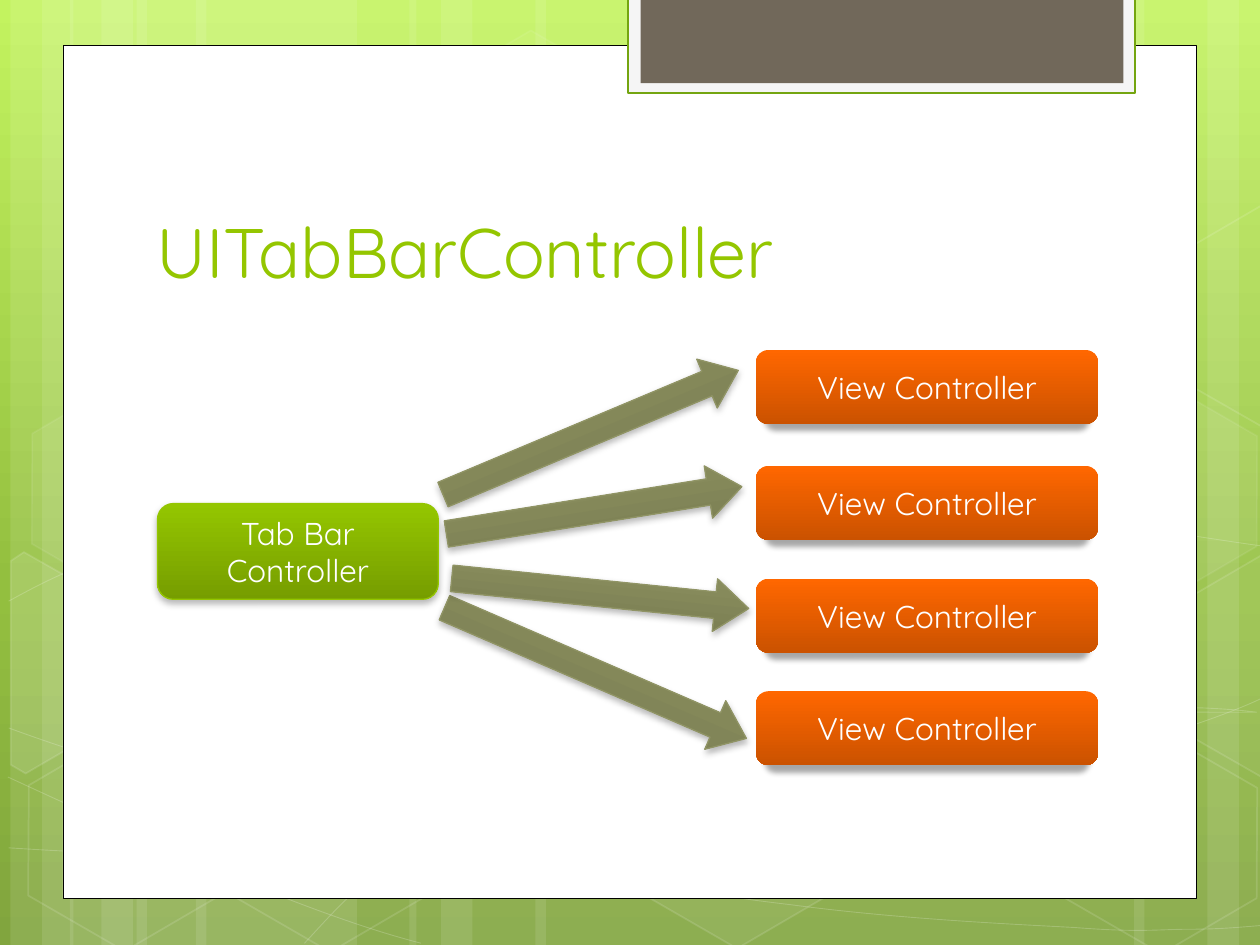
from dataclasses import dataclass
from math import cos, radians, sin

from lxml import etree
from pptx import Presentation
from pptx.dml.color import RGBColor
from pptx.enum.shapes import MSO_SHAPE
from pptx.enum.text import MSO_ANCHOR, PP_ALIGN
from pptx.oxml.ns import qn
from pptx.util import Pt

RECT = MSO_SHAPE.RECTANGLE
ROUND_RECT = MSO_SHAPE.ROUNDED_RECTANGLE
HEXAGON = MSO_SHAPE.HEXAGON
ARROW = MSO_SHAPE.RIGHT_ARROW
LEFT, CENTER = PP_ALIGN.LEFT, PP_ALIGN.CENTER
MIDDLE, BOTTOM = MSO_ANCHOR.MIDDLE, MSO_ANCHOR.BOTTOM


@dataclass(frozen=True)
class Theme:
    font: str = "Quicksand"
    title_size: int = 40
    label_size: int = 18
    white: str = "FFFFFF"
    black: str = "000000"
    green: str = "94C600"
    olive: str = "909465"
    tab_edge: str = "74A510"
    tab_outer: str = "F5F5F5"
    tab_inner: str = "71685A"
    backdrop: tuple = ((0, "C3F35F"), (62, "93BF3F"), (100, "81A53E"))
    green_fill: tuple = ((0, "94C600"), (100, "769D00"))
    orange_fill: tuple = ((0, "FF6700"), (100, "CB5200"))
    olive_fill: tuple = ((0, "909465"), (100, "75794C"))


T = Theme()
SOFT_SHADOW = (28, 4, 2, 100)
DEEP_SHADOW = (34, 3.5, 4, 95)
TILT = 30

STRIPES = [(78, 126), (6, 36), (24, 60), (112, 126), (40, 36), (58, 60),
           (528, 126), (690, 36), (648, 60), (306, 222), (234, 36), (252, 60)]

WAVES = [
    [(5, 484.5), (44, 487), (83, 489), (137, 488), (191, 487), (258, 486),
     (330, 479), (402, 472), (504, 458), (570, 444), (636, 431), (703, 409),
     (725, 397)],
    [(5, 343.5), (26, 332), (47, 321), (87, 310), (128, 300), (186, 284),
     (250, 279), (314, 274), (392, 273), (471, 279), (550, 284), (682, 307),
     (725, 312.5)],
    [(4.5, 444), (91, 484), (178, 523), (240.5, 539)],
    [(5, 416), (27, 424), (50, 432), (92, 443.5), (134, 454), (197, 472),
     (257, 484.5), (317, 497), (392, 510), (452, 517), (512, 525), (576, 528),
     (614, 530), (652, 533), (662, 531), (680, 531), (699, 531), (712, 529.5),
     (725, 528.5)],
    [(174, 539), (187, 525), (200, 510), (217.5, 497.5), (235, 485), (259, 470),
     (279, 460), (299.5, 450), (312, 446), (338, 438.5), (364, 431), (412.5, 421),
     (438, 416), (464, 411), (467, 411), (490, 410), (512, 407.5), (547, 405),
     (572, 404.5), (597, 404), (638, 404.5), (638, 404.5), (654, 404.5),
     (670, 404.5), (686, 404.5), (699, 405), (711, 406), (718, 407), (724, 407.5)],
]

HEXAGONS = [(240.5, 26, 4, 8), (358, 424, 6, 12), (8, 425.5, None, 12),
            (10, 224.5, 7, 8), (125.5, 426, None, 12), (542, 326, 10, 12),
            (600.5, 427, None, 12), (600.5, 226, 7, 8)]

CUT_HEXAGONS = [
    ([(6, 320.5), (13.5, 315.5), (69, 347), (68.5, 410.5), (14.5, 442), (6, 437)],
     (26, 385), 10),
    ([(666.5, 349), (720.5, 317.5), (726.5, 321), (726.5, 441.5), (721.5, 444), (666.5, 412.5)],
     (709, 374.5), 4),
    ([(666.5, 149), (720.5, 117.5), (727, 121), (726.5, 241), (721.5, 244), (666.5, 212.5)],
     (709, 173.5), None),
]

VIEW_TOPS = [200, 266.25, 330.75, 395]

ARROWS = [(246, 232, 183, -22.8), (254, 276.5, 171, -9.1),
          (246.25, 369.5, 188, 23.4), (257.75, 324, 170.5, 5.8)]


def set_alpha(parent, percent):
    color = parent.find(f"{qn('a:solidFill')}/{qn('a:srgbClr')}")
    etree.SubElement(color, qn("a:alpha"), val=str(percent * 1000))


def set_gradient(fill, element, stops):
    fill.gradient()
    fill.gradient_angle = 270
    gs_list = next(element.iter(qn("a:gsLst")))
    for gs in list(gs_list):
        gs_list.remove(gs)
    for pos, color in stops:
        gs = etree.SubElement(gs_list, qn("a:gs"), pos=str(pos * 1000))
        etree.SubElement(gs, qn("a:srgbClr"), val=color)


def set_shadow(sp, alpha, blur, dist, width):
    effects = sp._element.spPr.find(qn("a:effectLst"))
    outer = etree.SubElement(effects, qn("a:outerShdw"), blurRad=str(Pt(blur)),
                             dist=str(Pt(dist)), dir="5400000", sx=str(width * 1000),
                             algn="ctr", rotWithShape="0")
    color = etree.SubElement(outer, qn("a:srgbClr"), val=T.black)
    etree.SubElement(color, qn("a:alpha"), val=str(alpha * 1000))


def style(sp, fill=None, fill_alpha=None, line=None, width=1, line_alpha=None, shadow=None):
    sp.shadow.inherit = False
    sp_pr = sp._element.spPr
    if fill is None:
        sp.fill.background()
    elif isinstance(fill, tuple):
        set_gradient(sp.fill, sp_pr, fill)
    else:
        sp.fill.solid()
        sp.fill.fore_color.rgb = RGBColor.from_string(fill)
        if fill_alpha:
            set_alpha(sp_pr, fill_alpha)
    if line is None:
        sp.line.fill.background()
    else:
        sp.line.color.rgb = RGBColor.from_string(line)
        sp.line.width = Pt(width)
        if line_alpha:
            set_alpha(sp_pr.find(qn("a:ln")), line_alpha)
    if shadow:
        set_shadow(sp, *shadow)


def add_shape(s, kind, x, y, w, h, rotation=0, adjust=(), **fmt):
    sp = s.shapes.add_shape(kind, Pt(x), Pt(y), Pt(w), Pt(h))
    sp.rotation = rotation
    for i, value in enumerate(adjust):
        sp.adjustments[i] = value
    style(sp, **fmt)
    return sp


def add_outline(s, points, close, **fmt):
    emu = [(Pt(x), Pt(y)) for x, y in points]
    builder = s.shapes.build_freeform(*emu[0])
    builder.add_line_segments(emu[1:], close=close)
    sp = builder.convert_to_shape()
    style(sp, **fmt)
    return sp


def add_curve(s, nodes, **fmt):
    sp = add_outline(s, nodes, False, **fmt)
    segments = list(sp._element.iter(qn("a:lnTo")))
    outline = segments[0].getparent()
    for i in range(0, len(segments), 3):
        curve = etree.SubElement(outline, qn("a:cubicBezTo"))
        for segment in segments[i:i + 3]:
            curve.append(segment[0])
            outline.remove(segment)


def turn(points, center, degrees):
    cx, cy = center
    c, d = cos(radians(degrees)), sin(radians(degrees))
    return [(cx + (x - cx) * c - (y - cy) * d, cy + (x - cx) * d + (y - cy) * c)
            for x, y in points]


def set_text(sp, text, size=T.label_size, color=T.white, align=CENTER, anchor=MIDDLE):
    tf = sp.text_frame
    tf.word_wrap = True
    tf.vertical_anchor = anchor
    p = tf.paragraphs[0]
    p.alignment = align
    r = p.add_run()
    r.text = text
    r.font.name = T.font
    r.font.size = Pt(size)
    r.font.color.rgb = RGBColor.from_string(color)


def add_backdrop(s):
    set_gradient(s.background.fill, s.element, T.backdrop)
    for x, w in STRIPES:
        add_shape(s, RECT, x, 0, w, 540, fill=T.white, fill_alpha=10)
    for nodes in WAVES:
        add_curve(s, nodes, line=T.white, width=0.5, line_alpha=20)
    for x, y, alpha, line_alpha in HEXAGONS:
        add_shape(s, HEXAGON, x, y, 126, 109.5, rotation=TILT, adjust=(0.285,),
                  fill=T.white if alpha else None, fill_alpha=alpha,
                  line=T.white, line_alpha=line_alpha)
    for points, center, alpha in CUT_HEXAGONS:
        sp = add_outline(s, turn(points, center, -TILT), True, line=T.white, line_alpha=12,
                         fill=T.white if alpha else None, fill_alpha=alpha)
        sp.rotation = TILT


def add_panel(s):
    add_shape(s, RECT, 36, 26, 648, 487.25, fill=T.white, line=T.black, width=0.5)
    add_shape(s, RECT, 359, -1.5, 289.5, 54.5, fill=T.tab_outer, line=T.tab_edge, width=1.25)
    add_shape(s, RECT, 366, -1.5, 276, 49, fill=T.tab_inner)


def add_diagram(s):
    tab_bar = add_shape(s, ROUND_RECT, 90, 287.75, 160.5, 54.75, fill=T.green_fill,
                        line=T.green, width=0.75, shadow=SOFT_SHADOW)
    set_text(tab_bar, "Tab Bar Controller")
    for y in VIEW_TOPS:
        view = add_shape(s, ROUND_RECT, 432, y, 195.5, 42.25, fill=T.orange_fill,
                         shadow=DEEP_SHADOW)
        set_text(view, "View Controller")
    for x, y, w, rotation in ARROWS:
        add_shape(s, ARROW, x, y, w, 30.25, rotation=rotation, adjust=(0.5, 0.64),
                  fill=T.olive_fill, line=T.olive, width=0.75, shadow=SOFT_SHADOW)


def main():
    prs = Presentation()
    prs.slide_width, prs.slide_height = Pt(720), Pt(540)
    s = prs.slides.add_slide(prs.slide_layouts[6])
    add_backdrop(s)
    add_panel(s)
    title = s.shapes.add_textbox(Pt(82.25), Pt(80.5), Pt(553), Pt(90))
    set_text(title, "UITabBarController", size=T.title_size, color=T.green,
             align=LEFT, anchor=BOTTOM)
    add_diagram(s)
    prs.save("out.pptx")


if __name__ == "__main__":
    main()
